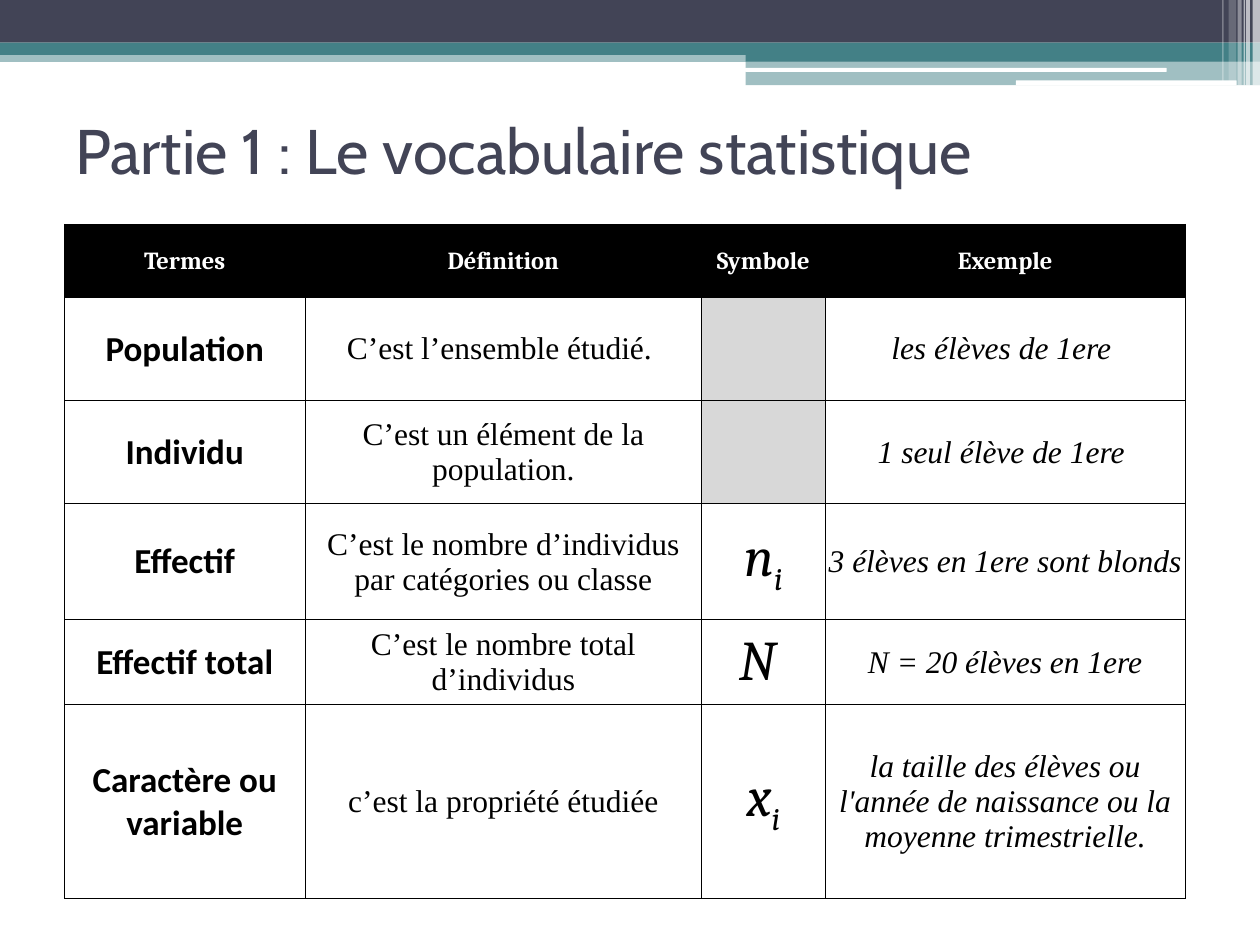
import pptx
import pptx.util
import pptx.dml.color
import pptx.enum.shapes
import pptx.enum.text
import pptx.oxml.ns
from dataclasses import dataclass
from lxml import etree

Cm, Pt = pptx.util.Cm, pptx.util.Pt
SHAPE = pptx.enum.shapes.MSO_SHAPE
CENTER = pptx.enum.text.PP_ALIGN.CENTER
MIDDLE = pptx.enum.text.MSO_ANCHOR.MIDDLE
qn = pptx.oxml.ns.qn


@dataclass(frozen=True)
class Theme:
    slate: str = "424456"
    teal: str = "438086"
    white: str = "FFFFFF"
    black: str = "000000"
    grey: str = "D8D8D8"
    title_size: int = 36
    head_size: int = 14
    term_size: int = 20
    body_size: int = 18
    symbol_size: int = 32
    border: float = 0.5


theme = Theme()

# Content: a symbol is a letter and its subscript
title = "Partie 1 : Le vocabulaire statistique"
headers = ["Termes", "Définition", "Symbole", "Exemple"]
rows = [
    ("Population", "C’est l’ensemble étudié. ", None, "les élèves de 1ere "),
    ("Individu", "C’est un élément de la population.", None,
     "1 seul élève de 1ere "),
    ("Effectif", "C’est le nombre d’individus par catégories ou classe",
     ("n", "i"), "3 élèves en 1ere sont blonds"),
    ("Effectif total", "C’est le nombre total d’individus", ("N ", ""),
     "N = 20 élèves en 1ere"),
    ("Caractère ou variable", "c’est la propriété étudiée", ("x", "i"),
     "la taille des élèves ou l'année de naissance ou la moyenne "
     "trimestrielle."),
]
column_widths = [4.85, 8, 2.48, 7.27]
row_heights = [1.47, 2.08, 2.08, 2.34, 1.71, 3.91]

# Banner: left, top, width, height, colour, opacity in percent
bands = [
    (0, 1.02, 25.4, 0.23, theme.teal, 50),
    (0, 0, 25.4, 0.86, theme.slate, 100),
    (0, 0.86, 25.4, 0.25, theme.teal, 100),
    (15.03, 0.99, 10.37, 0.25, theme.teal, 100),
    (15.03, 1.23, 10.37, 0.49, theme.teal, 50),
]
rounded_lines = [
    (15.02, 1.37, 8.5, 0.08, theme.white, 100),
    (20.48, 1.62, 4.45, 0.1, theme.white, 100),
]
# Stripes: left, width, height, opacity
stripes = [(25.25, 0.15, 1.73, 65), (25.12, 0.08, 1.73, 65),
           (25.07, 0.03, 1.73, 60), (24.95, 0.08, 1.73, 40),
           (24.77, 0.15, 1.63, 20), (24.64, 0.03, 1.63, 30)]


def rgb(value):
    return pptx.dml.color.RGBColor.from_string(value)


def add_band(page, kind, left, top, width, height, color, opacity):
    band = page.shapes.add_shape(kind, Cm(left), Cm(top), Cm(width), Cm(height))
    band.shadow.inherit = False
    band.line.fill.background()
    band.fill.solid()
    band.fill.fore_color.rgb = rgb(color)
    if opacity < 100:
        tint = band.fill._xPr.find(".//" + qn("a:srgbClr"))
        etree.SubElement(tint, qn("a:alpha"), val=str(opacity * 1000))


def add_text(para, text, *, font, size, color=theme.black, bold=False,
             italic=False, baseline=0):
    span = para.add_run()
    span.text = text
    span.font.name = font
    span.font.size = Pt(size)
    span.font.bold = bold
    span.font.italic = italic
    span.font.color.rgb = rgb(color)
    if baseline:
        span.font._element.set("baseline", str(baseline * 1000))


def format_cell(cell, fill):
    cell.vertical_anchor = MIDDLE
    cell.margin_left = cell.margin_right = cell.margin_top = Cm(0.02)
    cell.margin_bottom = 0
    cell.text_frame.paragraphs[0].alignment = CENTER
    # Borders come before the fill in the cell properties
    properties = cell._tc.get_or_add_tcPr()
    for side in ("lnL", "lnR", "lnT", "lnB"):
        line = etree.SubElement(properties, qn("a:" + side),
                                w=str(Pt(theme.border)))
        solid = etree.SubElement(line, qn("a:solidFill"))
        etree.SubElement(solid, qn("a:srgbClr"), val=theme.black)
    if fill:
        cell.fill.solid()
        cell.fill.fore_color.rgb = rgb(fill)
    else:
        cell.fill.background()


deck = pptx.Presentation()
deck.slide_width, deck.slide_height = Cm(25.4), Cm(19.05)
page = deck.slides.add_slide(deck.slide_layouts[6])

# Banner
for band in bands:
    add_band(page, SHAPE.RECTANGLE, *band)
for line in rounded_lines:
    add_band(page, SHAPE.ROUNDED_RECTANGLE, *line)
for left, width, height, opacity in stripes:
    add_band(page, SHAPE.RECTANGLE, left, 0, width, height, theme.white, opacity)

# Title
box = page.shapes.add_textbox(Cm(1.27), Cm(1.52), Cm(22.86), Cm(2.97))
box.text_frame.word_wrap = True
box.text_frame.vertical_anchor = MIDDLE
add_text(box.text_frame.paragraphs[0], title, font="Cabin",
         size=theme.title_size, color=theme.slate)

# Table
table = page.shapes.add_table(
    len(row_heights), len(column_widths), Cm(1.3), Cm(4.52),
    Cm(sum(column_widths)), Cm(sum(row_heights))).table
for column, width in zip(table.columns, column_widths):
    column.width = Cm(width)
for row, height in zip(table.rows, row_heights):
    row.height = Cm(height)

column_formats = [
    dict(font="Calibri", size=theme.term_size, bold=True),
    dict(font="Times New Roman", size=theme.body_size),
    dict(font="Cambria", size=theme.symbol_size, italic=True),
    dict(font="Times New Roman", size=theme.body_size, italic=True),
]
header_format = dict(font="Cambria", size=theme.head_size, bold=True,
                     color=theme.white)

for c, header in enumerate(headers):
    cell = table.cell(0, c)
    format_cell(cell, theme.black)
    add_text(cell.text_frame.paragraphs[0], header, **header_format)

for r, values in enumerate(rows, start=1):
    for c, value in enumerate(values):
        cell = table.cell(r, c)
        format_cell(cell, None if value else theme.grey)
        if not value:
            continue
        para = cell.text_frame.paragraphs[0]
        letter, index = value if isinstance(value, tuple) else (value, "")
        add_text(para, letter, **column_formats[c])
        if index:
            add_text(para, index, baseline=-25, **column_formats[c])

deck.save("out.pptx")
